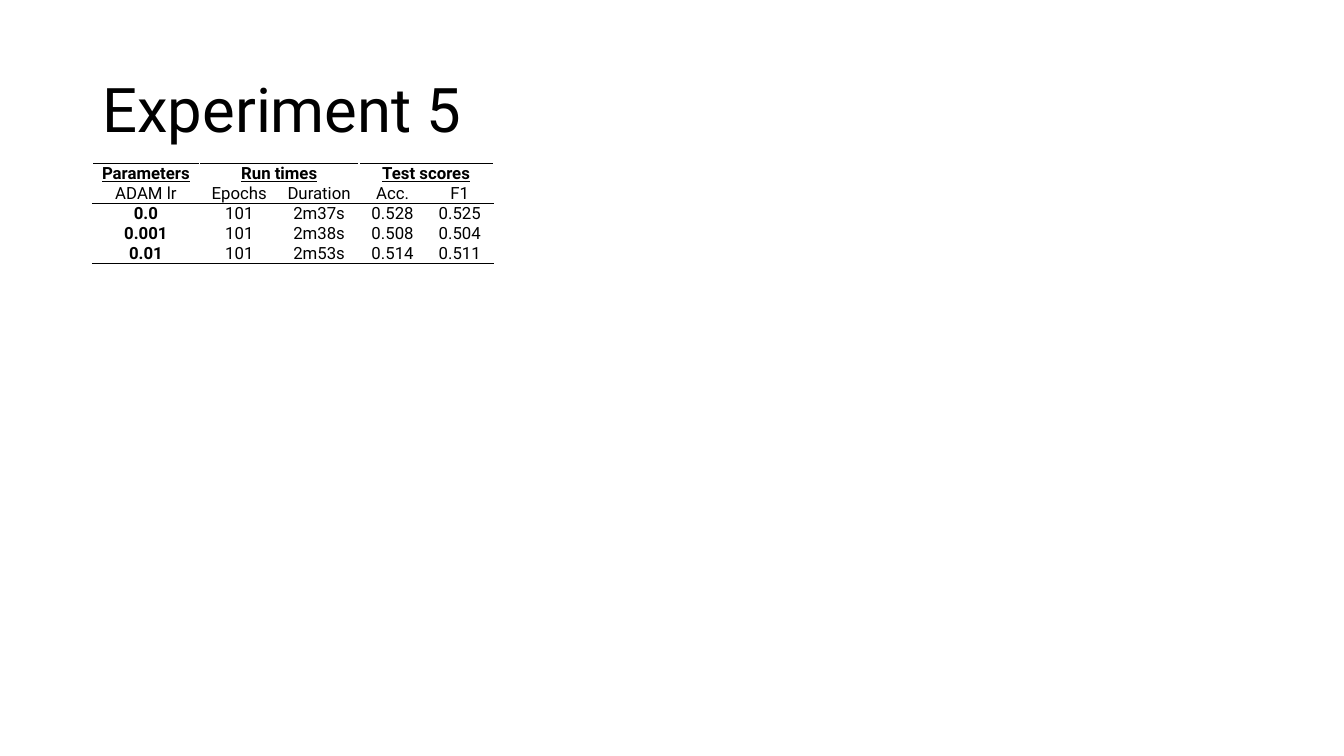
import pptx
import pptx.dml.color
import pptx.enum.text
import pptx.oxml
import pptx.oxml.ns
import pptx.util

PX = 9525
FONT = "Roboto"
BLACK, WHITE = "000000", "FFFFFF"
COLUMN_WIDTHS = [102, 76, 76, 64, 64]
ROW_HEIGHT = 19
RESULTS = [
    ["Parameters", "Run times", "", "Test scores", ""],
    ["ADAM lr", "Epochs", "Duration", "Acc.", "F1"],
    ["0.0", "101", "2m37s", "0.528", "0.525"],
    ["0.001", "101", "2m38s", "0.508", "0.504"],
    ["0.01", "101", "2m53s", "0.514", "0.511"],
]
RULES_ABOVE = {0: (BLACK, 1), 1: (WHITE, 3), 2: (BLACK, 1), 5: (BLACK, 1)}


def px(length):
    return pptx.util.Emu(length * PX)


def color(code):
    return pptx.dml.color.RGBColor.from_string(code)


def add_run(paragraph, text, size, bold=False, underline=False):
    run = paragraph.add_run()
    run.text = text
    run.font.name = FONT
    run.font.size = pptx.util.Pt(size)
    run.font.bold = bold
    run.font.underline = underline
    run.font.color.rgb = color(BLACK)


def set_borders(cell, above, below):
    properties = cell._tc.get_or_add_tcPr()
    side = (WHITE, 1)
    for edge, (code, points) in zip("LRTB", (side, side, above, below)):
        properties.append(pptx.oxml.parse_xml(
            f'<a:ln{edge} {pptx.oxml.ns.nsdecls("a")} w="{pptx.util.Pt(points)}">'
            f'<a:solidFill><a:srgbClr val="{code}"/></a:solidFill></a:ln{edge}>'))


def place_title(slide, left, top, width, height):
    heading = slide.shapes.title
    heading.left, heading.top = px(left), px(top)
    heading.width, heading.height = px(width), px(height)
    frame = heading.text_frame
    frame.word_wrap = True
    frame.auto_size = pptx.enum.text.MSO_AUTO_SIZE.NONE
    frame.vertical_anchor = pptx.enum.text.MSO_ANCHOR.MIDDLE
    paragraph = frame.paragraphs[0]
    paragraph.alignment = pptx.enum.text.PP_ALIGN.LEFT
    paragraph.line_spacing = 0.9
    add_run(paragraph, "Experiment 5", 44)


def fill_cell(cell, row, column):
    cell.margin_left = cell.margin_right = px(7)
    cell.margin_top = cell.margin_bottom = 0
    if column:
        cell.vertical_anchor = pptx.enum.text.MSO_ANCHOR.MIDDLE
    set_borders(cell, RULES_ABOVE.get(row, (WHITE, 1)), RULES_ABOVE.get(row + 1, (WHITE, 1)))
    cell.fill.background()
    if RESULTS[row][column]:
        paragraph = cell.text_frame.paragraphs[0]
        paragraph.alignment = pptx.enum.text.PP_ALIGN.CENTER
        is_group = row == 0
        is_parameter = column == 0 and row > 1
        add_run(paragraph, RESULTS[row][column], 12, is_group or is_parameter, is_group)


def place_results(slide, left, top):
    rows, columns = len(RESULTS), len(COLUMN_WIDTHS)
    results = slide.shapes.add_table(
        rows, columns, px(left), px(top),
        px(sum(COLUMN_WIDTHS)), px(rows * ROW_HEIGHT)).table
    results.first_row = False
    results.horz_banding = False
    for column, width in enumerate(COLUMN_WIDTHS):
        results.columns[column].width = px(width)
    for row in range(rows):
        results.rows[row].height = px(ROW_HEIGHT)
        for column in range(columns):
            fill_cell(results.cell(row, column), row, column)
    for column in (1, 3):
        results.cell(0, column).merge(results.cell(0, column + 1))


def main():
    deck = pptx.Presentation()
    deck.slide_width, deck.slide_height = px(1280), px(720)
    slide = deck.slides.add_slide(deck.slide_layouts[5])
    slide.background.fill.solid()
    slide.background.fill.fore_color.rgb = color(WHITE)
    place_title(slide, 88, 38, 1104, 139)
    place_results(slide, 88, 156)
    deck.save("out.pptx")


if __name__ == "__main__":
    main()
